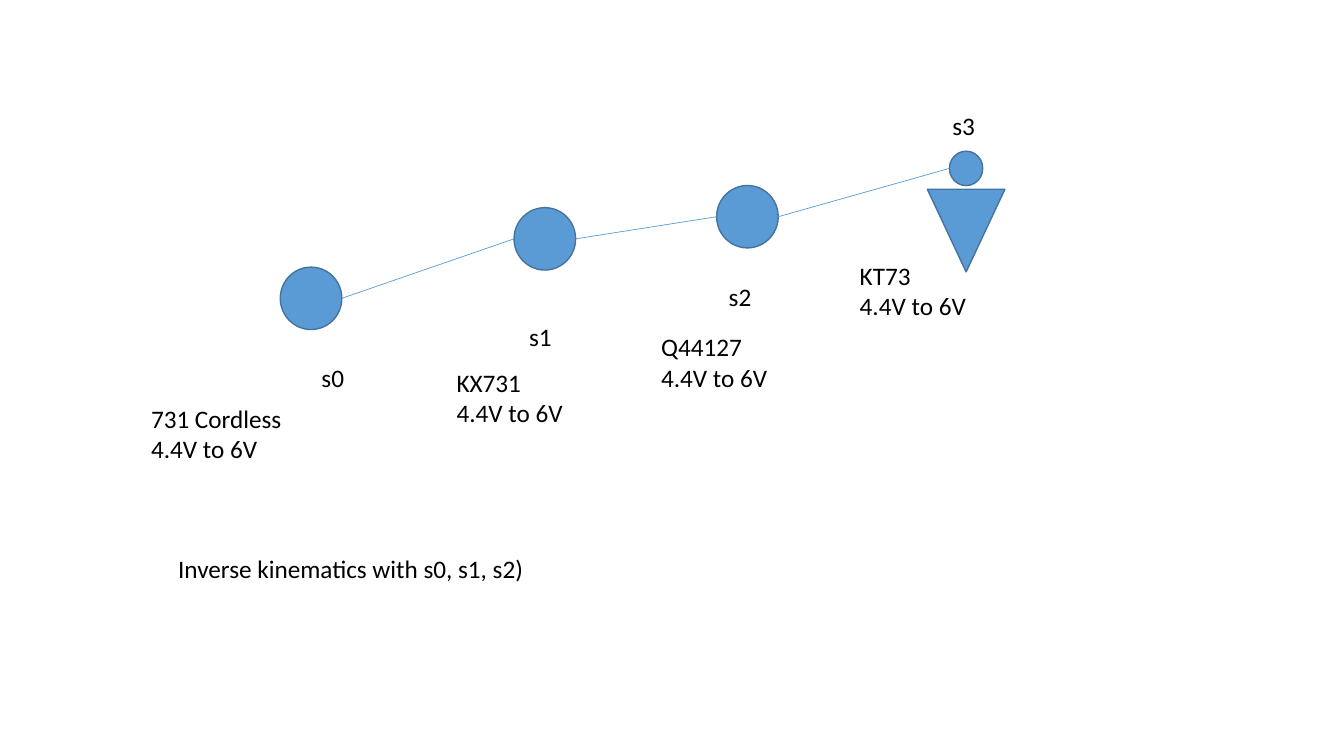
from pptx import Presentation
from pptx.dml.color import RGBColor
from pptx.enum.shapes import MSO_CONNECTOR as Link, MSO_SHAPE as Form
from pptx.enum.text import MSO_AUTO_SIZE as Fit
from pptx.oxml.ns import qn
from pptx.util import Pt
from lxml.etree import SubElement

BLUE, EDGE, BLACK = "5B9BD5", "43739E", "000000"
VOLTS = "4.4V to 6V"

# Offsets in the arm's box: disc (left, top, width, height), name, servo note
JOINTS = [
    ("s0", (100.2, 115.8, 44, 44.6), (122.5, 180.6), "731 Cordless", (0.8, 209.4)),
    ("s1", (267.2, 73.3, 44, 44.6), (270.8, 151.1), "KX731", (219, 183.5)),
    ("s2", (411.9, 57.5, 44, 44.6), (413.4, 122.3), "Q44127", (365.1, 158.3)),
    ("s3", (578.2, 33, 23.8, 24.6), (573.2, 0.6), "KT73", (507, 107.2)),
]


def paint(hue):
    return RGBColor.from_string(hue)


def text(slide, words, x, y, w, h=28.8, size=18, font="Calibri", hue=BLACK):
    box = slide.shapes.add_textbox(Pt(x), Pt(y), Pt(w), Pt(h))
    frame = box.text_frame
    frame.word_wrap = True
    frame.auto_size = Fit.SHAPE_TO_FIT_TEXT
    frame.text = words
    for para in frame.paragraphs:
        face = para.runs[0].font
        face.size, face.name = Pt(size), font
        face.color.rgb = paint(hue)


def solid(slide, form, x, y, w, h, turn=0):
    shape = slide.shapes.add_shape(form, Pt(x), Pt(y), Pt(w), Pt(h))
    shape.rotation = turn
    shape.shadow.inherit = False
    shape.fill.solid()
    shape.fill.fore_color.rgb = paint(BLUE)
    shape.line.color.rgb = paint(EDGE)
    shape.line.width = Pt(1)


def rod(slide, x1, y1, x2, y2):
    line = slide.shapes.add_connector(
        Link.STRAIGHT, Pt(x1), Pt(y1), Pt(x2), Pt(y2))
    line.line.color.rgb = paint(BLUE)
    line.line.width = Pt(0.5)
    SubElement(line._element.spPr, qn("a:effectLst"))


def arm(slide, left, top):
    # Joints with their names and servos
    for name, (x, y, w, h), (nx, ny), servo, (sx, sy) in JOINTS:
        solid(slide, Form.OVAL, left + x, top + y, w, h)
        text(slide, name, left + nx, top + ny, 46.8)
        text(slide, f"{servo}\n{VOLTS}", left + sx, top + sy, 143.3, 51)

    # Rods from the right side of one joint to the left side of the next
    discs = [joint[1] for joint in JOINTS]
    for (x, y, w, h), (x2, y2, _, h2) in zip(discs, discs[1:]):
        rod(slide, left + x + w, top + y + h / 2, left + x2, top + y2 + h2 / 2)

    # Tool tip below the last joint
    solid(slide, Form.ISOSCELES_TRIANGLE, left + 562.4, top + 60.2, 55.4, 59, 180)


def note(slide, left, top, width):
    text(slide, "Inverse kinematics with s0, s1, s2)", left, top, width)


deck = Presentation()
deck.slide_width, deck.slide_height = Pt(960), Pt(540)
page = deck.slides.add_slide(deck.slide_layouts[6])
arm(page, 100, 75)
note(page, 120.2, 391.7, 290.2)
deck.save("out.pptx")
